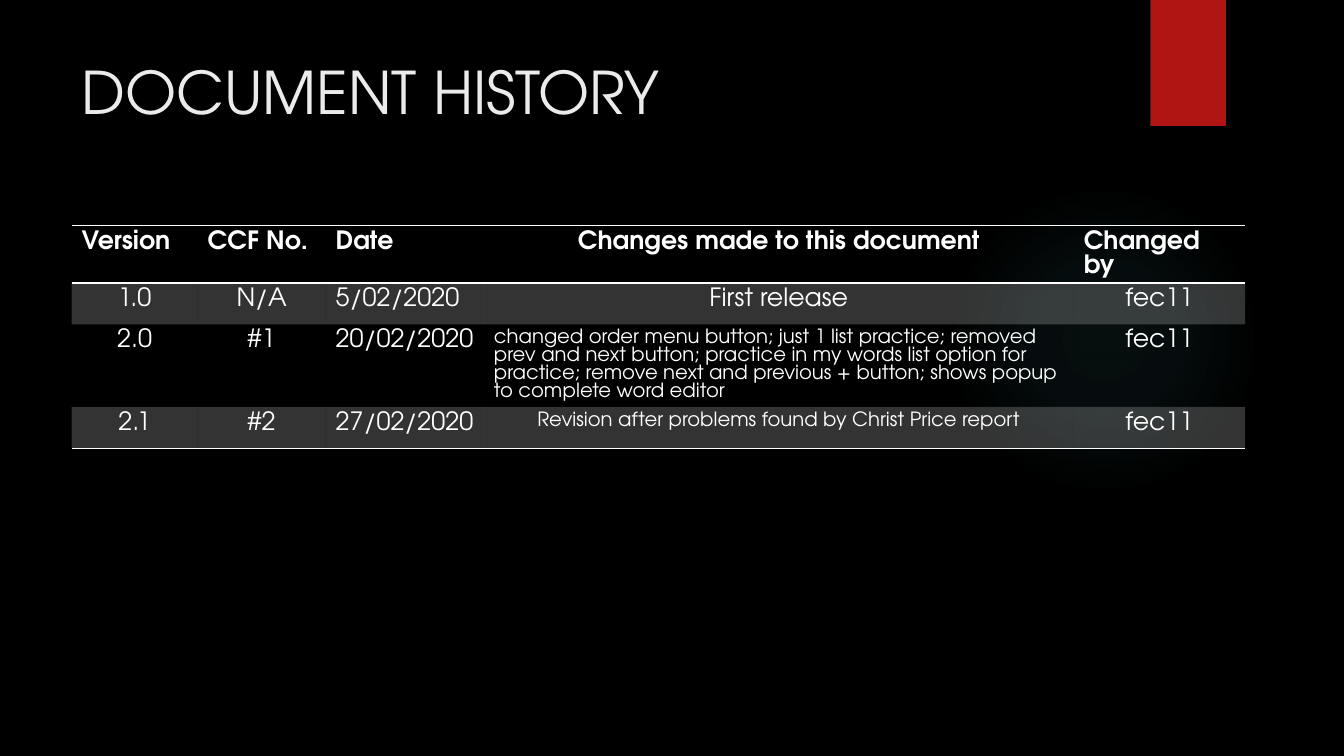
import pptx
import pptx.util
import pptx.oxml
import pptx.oxml.ns
import pptx.dml.color
import pptx.enum.shapes
import pptx.enum.text

Inches, Pt = pptx.util.Inches, pptx.util.Pt
SHAPE = pptx.enum.shapes.MSO_SHAPE
ALIGN = pptx.enum.text.PP_ALIGN
FONT = "TeX Gyre Adventor"
WHITE = "FFFFFF"
NO_STYLE = "{2D5ABB26-0587-4C30-8999-92F81FD0307C}"
LEADING = {18: 16.8, 14: 12.9}

WIDTHS = [1.25, 1.27, 1.57, 5.85, 1.7]
HEIGHTS = [0.56, 0.41, 0.82, 0.41]
HISTORY = [
    ["Version", "CCF No.", "Date", "Changes made to this document", "Changed by"],
    ["1.0", "N/A", "5/02/2020", "First release", "fec11"],
    ["2.0", "#1", "20/02/2020",
     "changed order menu button; just 1 list practice; removed prev and next button; "
     "practice in my words list option for practice; remove next and previous + button; "
     "shows popup to complete word editor", "fec11"],
    ["2.1", "#2", "27/02/2020",
     "Revision after problems found by Christ Price report", "fec11"],
]
DATE, CHANGES = 2, 3


def color(code):
    return pptx.dml.color.RGBColor.from_string(code)


def parse_xml(text):
    return pptx.oxml.parse_xml(text.replace(">", f" {pptx.oxml.ns.nsdecls('a')}>", 1))


def write(frame, text, size=18, ink=WHITE, bold=False, align=ALIGN.LEFT, leading=None):
    frame.word_wrap = True
    para = frame.paragraphs[0]
    para.alignment = align
    if leading:
        para.line_spacing = Pt(leading)
    run = para.add_run()
    run.text = text
    run.font.name = FONT
    run.font.size = Pt(size)
    run.font.bold = bold
    run.font.color.rgb = color(ink)


def add_block(slide, kind, left, top, width, height, fill):
    shape = slide.shapes.add_shape(
        kind, Inches(left), Inches(top), Inches(width), Inches(height))
    shape.shadow.inherit = False
    shape.line.fill.background()
    shape.fill.solid()
    shape.fill.fore_color.rgb = color(fill)
    return shape


def add_glow(slide, left, top, size, tint):
    """Add a circle that fades out from its centre."""
    glow = add_block(slide, SHAPE.OVAL, left, top, size, size, tint)
    stops = "".join(
        f'<a:gs pos="{pos * 1000}"><a:srgbClr val="{tint}">'
        f'<a:alpha val="{alpha * 1000}"/></a:srgbClr></a:gs>'
        for pos, alpha in [(0, 7), (36, 6), (69, 0), (100, 0)])
    grad = parse_xml(
        f'<a:gradFill><a:gsLst>{stops}</a:gsLst><a:path path="circle">'
        '<a:fillToRect l="50000" t="50000" r="50000" b="50000"/></a:path></a:gradFill>')
    props = glow.element.spPr
    props.replace(props.find(pptx.oxml.ns.qn("a:solidFill")), grad)


def add_title(slide, text):
    box = slide.shapes.add_textbox(Inches(0.71), Inches(0.5), Inches(10.29), Inches(1.53))
    write(box.text_frame, text, size=42, ink="EBEBEB")


def style_cell(cell, shaded, edges):
    """Shade the cell lightly if asked and rule the named edges."""
    props = cell._tc.get_or_add_tcPr()
    if shaded:
        cell.fill.solid()
        cell.fill.fore_color.rgb = color(WHITE)
        tint = props.find(".//" + pptx.oxml.ns.qn("a:srgbClr"))
        tint.append(parse_xml('<a:alpha val="20000"></a:alpha>'))
    else:
        cell.fill.background()
    for spot, edge in enumerate(edges):
        props.insert(spot, parse_xml(
            f'<a:ln{edge} w="12700"><a:solidFill><a:srgbClr val="{WHITE}"/>'
            f'</a:solidFill></a:ln{edge}>'))


def add_history(slide):
    frame = slide.shapes.add_table(
        len(HISTORY), len(WIDTHS), Inches(0.71), Inches(2.24),
        Inches(sum(WIDTHS)), Inches(sum(HEIGHTS)))
    table = frame.table
    table._tbl.tblPr.find(pptx.oxml.ns.qn("a:tableStyleId")).text = NO_STYLE
    for column, width in zip(table.columns, WIDTHS):
        column.width = Inches(width)
    for row, height in zip(table.rows, HEIGHTS):
        row.height = Inches(height)
    last = len(HISTORY) - 1
    for r, texts in enumerate(HISTORY):
        edges = {0: "TB", last: "B"}.get(r, "")
        for c, text in enumerate(texts):
            size = 14 if c == CHANGES and r > 1 else 18
            wraps = len(text) > 60
            centred = c == CHANGES if r == 0 else c != DATE and not wraps
            cell = table.cell(r, c)
            write(cell.text_frame, text, size=size, bold=r == 0,
                  align=ALIGN.CENTER if centred else ALIGN.LEFT, leading=LEADING[size])
            style_cell(cell, r % 2 == 1, edges)


def main():
    deck = pptx.Presentation()
    deck.slide_width, deck.slide_height = Inches(13.33), Inches(7.5)
    slide = deck.slides.add_slide(deck.slide_layouts[6])
    slide.background.fill.solid()
    slide.background.fill.fore_color.rgb = color("000000")
    add_glow(slide, 9.41, 1.83, 3.08, "50B9C1")
    add_block(slide, SHAPE.RECTANGLE, 11.41, 0, 0.75, 1.25, "B01513")
    add_title(slide, "DOCUMENT HISTORY")
    add_history(slide)
    deck.save("out.pptx")


if __name__ == "__main__":
    main()
